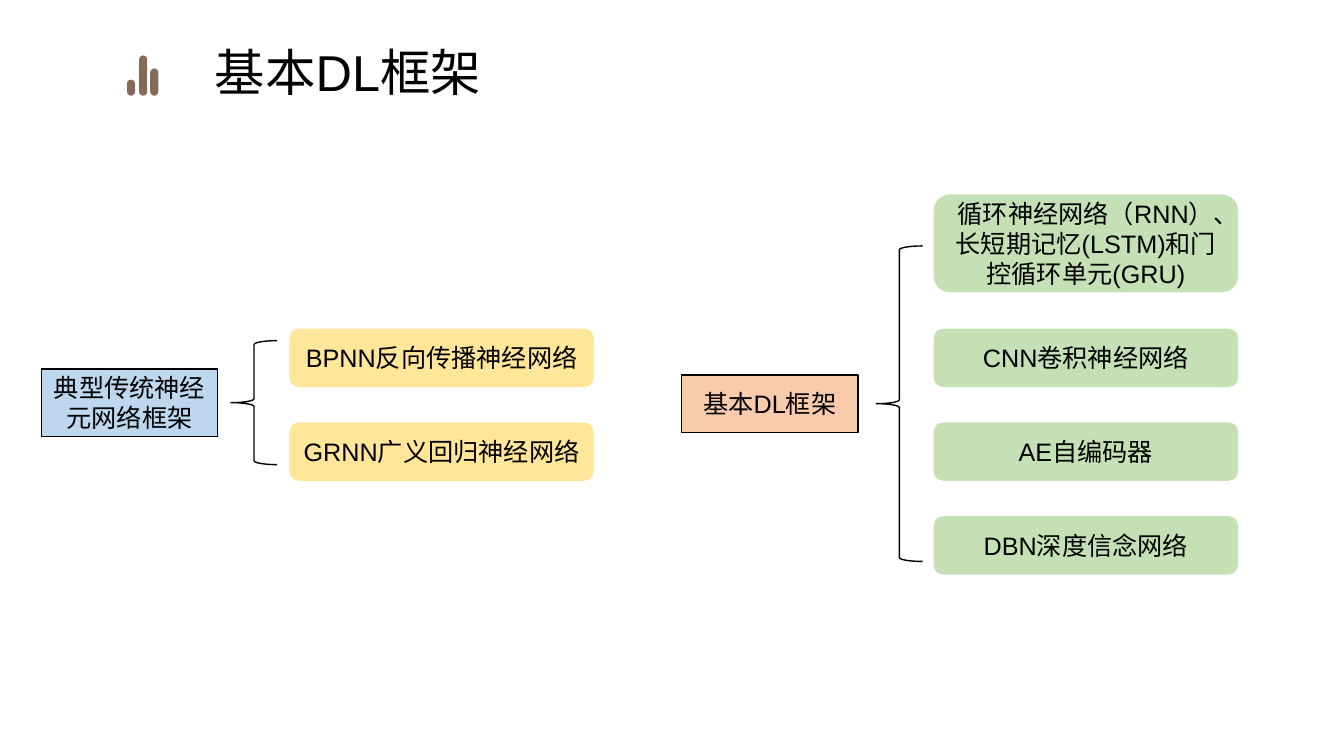
from pptx import Presentation
from pptx.dml.color import RGBColor
from pptx.enum import shapes, text
from pptx.util import Inches, Pt

KIND = shapes.MSO_SHAPE
BLACK = "000000"
BROWN = "856959"
YELLOW = "FFE699"
GREEN = "C5E0B4"
STEP = 0.93  # distance between rows of nodes


def color(code):
    return RGBColor.from_string(code)


def write(frame, words, size):
    frame.word_wrap = True
    para = frame.paragraphs[0]
    para.alignment = text.PP_ALIGN.CENTER
    run = para.add_run()
    run.text = words
    run.font.size = Pt(size)
    run.font.name = "Arial"
    run.font.color.rgb = color(BLACK)


def add_form(slide, kind, box, fill=None, line=None):
    form = slide.shapes.add_shape(kind, *map(Inches, box))
    form.shadow.inherit = False
    if fill:
        form.fill.solid()
        form.fill.fore_color.rgb = color(fill)
    else:
        form.fill.background()
    if line:
        form.line.color.rgb = color(line)
        form.line.width = Pt(1)
    else:
        form.line.fill.background()
    return form


def add_node(slide, kind, box, words, fill, line=None):
    node = add_form(slide, kind, box, fill, line)
    node.text_frame.vertical_anchor = text.MSO_ANCHOR.MIDDLE
    write(node.text_frame, words, 18)


def add_title(slide, words):
    box = slide.shapes.add_textbox(*map(Inches, (2.03, 0.36, 2.84, 0.71)))
    write(box.text_frame, words, 36)


def add_icon(slide):
    base = 0.95
    for left, high in ((1.26, 0.16), (1.38, 0.4), (1.49, 0.27)):
        bar = add_form(slide, KIND.ROUNDED_RECTANGLE,
                       (left, base - high, 0.08, high), BROWN)
        bar.adjustments[0] = 0.5


def add_tree(slide, root, brace, leaves, left, fill):
    # Root and brace
    box, words, tint = root
    add_node(slide, KIND.RECTANGLE, box, words, tint, BLACK)
    add_form(slide, KIND.LEFT_BRACE, brace, line=BLACK)
    # Leaves in equal rows
    for row, leaf in enumerate(leaves):
        add_node(slide, KIND.ROUNDED_RECTANGLE,
                 (left, 3.26 + row * STEP, 3.02, 0.58), leaf, fill)


def main():
    deck = Presentation()
    deck.slide_width, deck.slide_height = Inches(13.33), Inches(7.5)
    slide = deck.slides.add_slide(deck.slide_layouts[6])

    # Heading
    add_title(slide, "基本DL框架")
    add_icon(slide)

    # Traditional networks
    add_tree(slide,
             ((0.41, 3.66, 1.75, 0.67), "典型传统神经元网络框架", "BDD7EE"),
             (2.29, 3.38, 0.46, 1.23),
             ("BPNN反向传播神经网络", "GRNN广义回归神经网络"),
             2.87, YELLOW)

    # Deep learning, with a taller node on top
    add_tree(slide,
             ((6.76, 3.72, 1.75, 0.57), "基本DL框架", "F8CBAD"),
             (8.69, 2.44, 0.46, 3.13),
             ("CNN卷积神经网络", "AE自编码器", "DBN深度信念网络"),
             9.26, GREEN)
    add_node(slide, KIND.ROUNDED_RECTANGLE, (9.26, 1.93, 3.02, 0.97),
             "循环神经网络（RNN）、长短期记忆(LSTM)和门控循环单元(GRU)", GREEN)

    deck.save("out.pptx")


if __name__ == "__main__":
    main()
